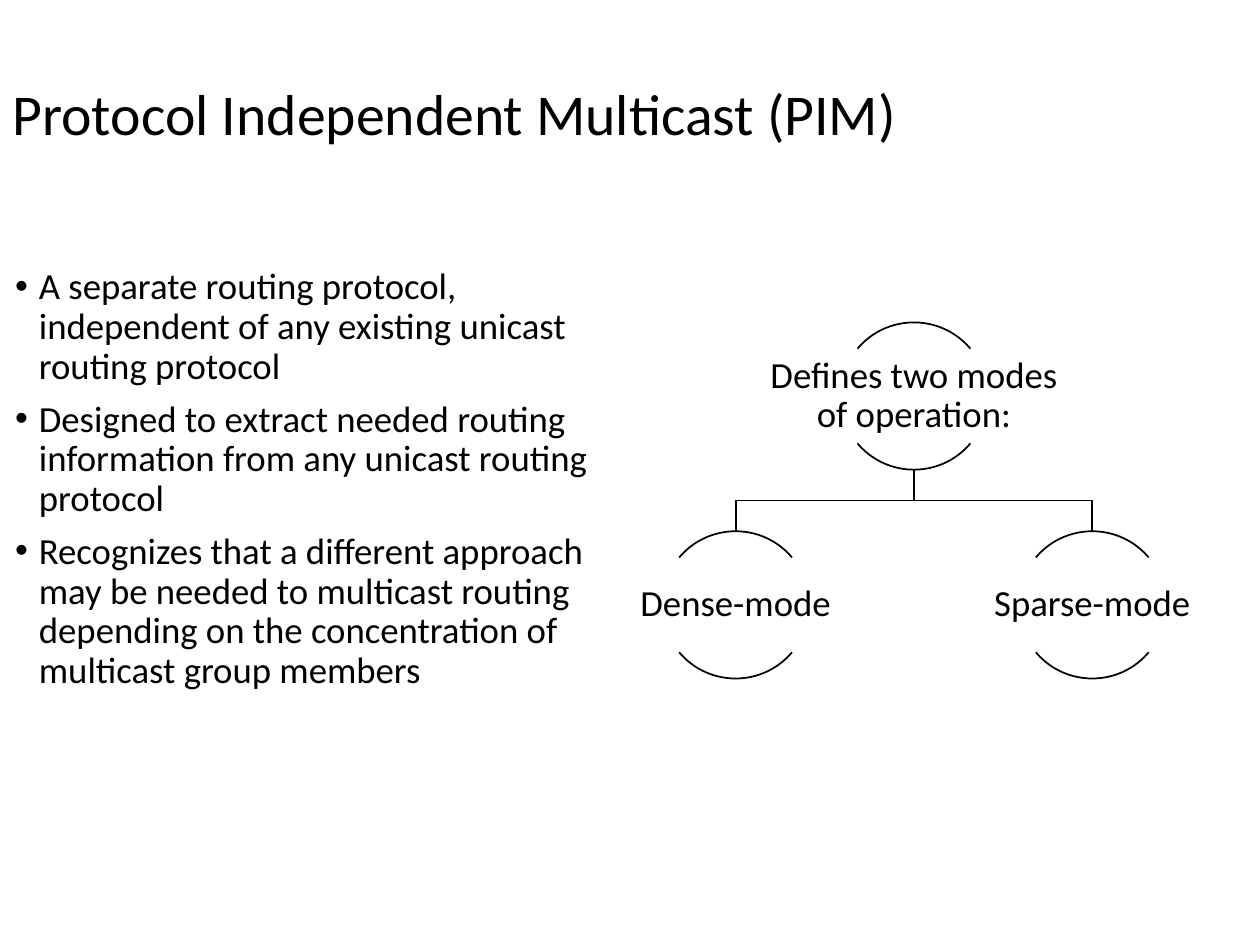
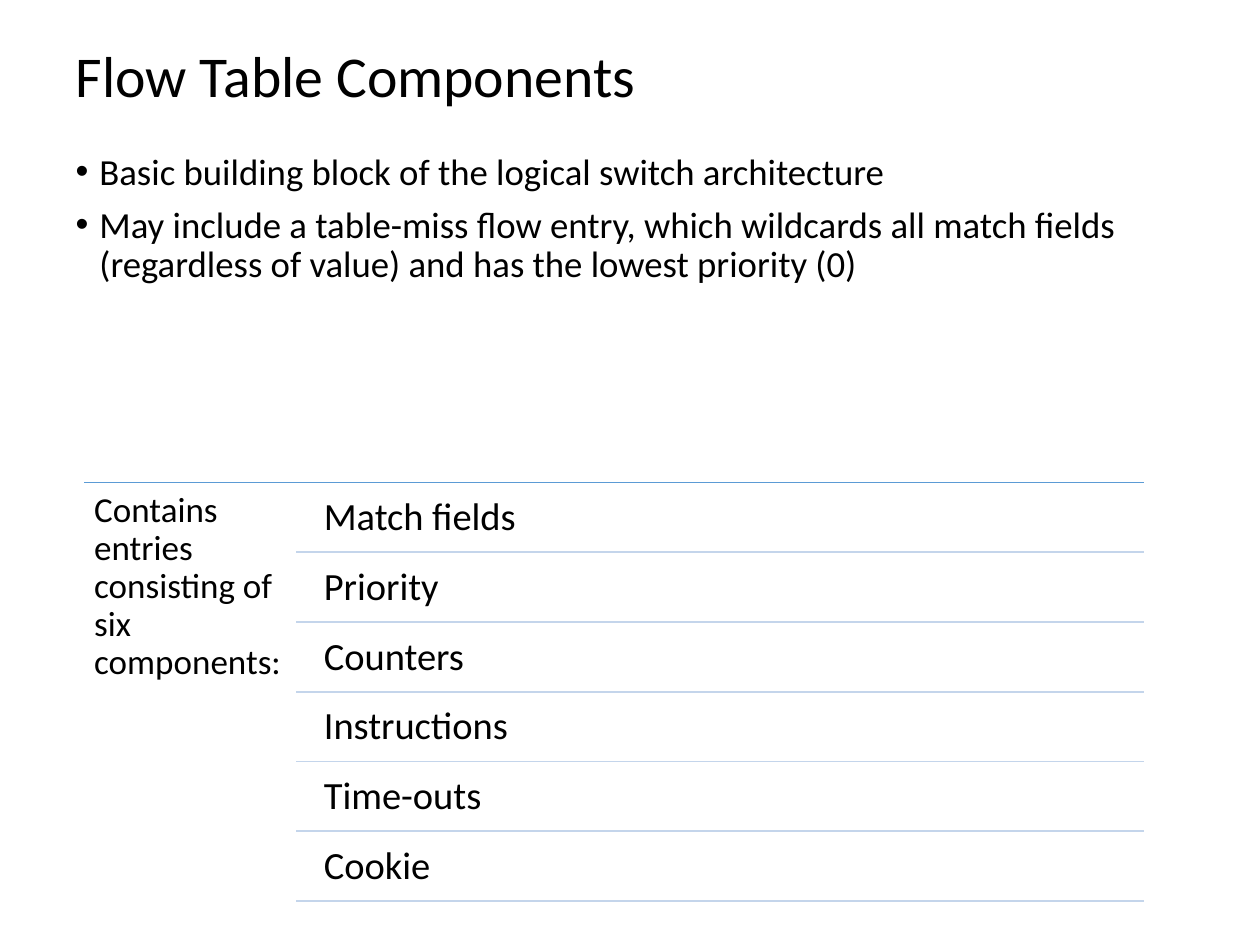
"""Build two networking slides: a mode hierarchy and a component list."""
from dataclasses import dataclass

from lxml import etree
from pptx import Presentation
from pptx.dml.color import RGBColor
from pptx.enum.shapes import MSO_CONNECTOR, MSO_SHAPE
from pptx.enum.text import MSO_ANCHOR, MSO_AUTO_SIZE, PP_ALIGN
from pptx.oxml.ns import qn
from pptx.util import Cm, Pt

LEFT, CENTER = PP_ALIGN.LEFT, PP_ALIGN.CENTER
TOP, MIDDLE = MSO_ANCHOR.TOP, MSO_ANCHOR.MIDDLE
NO_FIT = MSO_AUTO_SIZE.NONE
STRAIGHT = MSO_CONNECTOR.STRAIGHT
ARC = MSO_SHAPE.ARC
TITLE_AND_CONTENT = 1


@dataclass(frozen=True)
class Theme:
    """Colours, type sizes and spacing shared by the slides."""

    font: str = "Calibri"
    ink: str = "000000"
    paper: str = "FFFFFF"
    accent: str = "5B9BD5"
    pale: str = "C4D5EB"
    title_size: float = 33
    body_size: float = 21
    heading_size: float = 20
    row_size: float = 22
    line_spacing: float = 0.9
    bullet_gap: float = 7.5
    bullet_indent: float = 0.48
    line_width: float = 1
    thin_line: float = 0.5


@dataclass(frozen=True)
class Box:
    """A rectangle in centimetres."""

    left: float
    top: float
    width: float
    height: float

    def lengths(self):
        """Return the four lengths as slide units."""
        return Cm(self.left), Cm(self.top), Cm(self.width), Cm(self.height)


THEME = Theme()


def add_bullet(para):
    """Give a paragraph a hanging round bullet."""
    properties = para._p.get_or_add_pPr()
    indent = Cm(THEME.bullet_indent)
    properties.set("marL", str(indent))
    properties.set("indent", str(-indent))
    etree.SubElement(properties, qn("a:buFont")).set("typeface", "Arial")
    etree.SubElement(properties, qn("a:buChar")).set("char", "•")


def write_text(frame, *texts, size=THEME.body_size, align=LEFT, anchor=TOP,
               bullets=False, gap=0, inset=None):
    """Write one formatted paragraph for each text."""
    frame.word_wrap = True
    frame.auto_size = NO_FIT
    frame.vertical_anchor = anchor
    if inset is not None:
        frame.margin_left = frame.margin_right = Cm(inset)
        frame.margin_top = frame.margin_bottom = Cm(inset)
    for index, text in enumerate(texts):
        para = frame.add_paragraph() if index else frame.paragraphs[0]
        if bullets:
            add_bullet(para)
        para.alignment = align
        para.line_spacing = THEME.line_spacing
        para.space_before = Pt(gap if index else 0)
        span = para.add_run()
        span.text = text
        span.font.name = THEME.font
        span.font.size = Pt(size)
        span.font.color.rgb = RGBColor.from_string(THEME.ink)


def add_label(page, box, text, **text_format):
    """Add a text box with one paragraph."""
    label = page.shapes.add_textbox(*box.lengths())
    write_text(label.text_frame, text, **text_format)


def style_outline(shape):
    """Leave a shape with only a plain outline."""
    shape.shadow.inherit = False
    shape.fill.background()
    shape.line.color.rgb = RGBColor.from_string(THEME.ink)
    shape.line.width = Pt(THEME.line_width)


def add_rule(page, left, right, y, color=THEME.pale, width=THEME.line_width):
    """Draw a horizontal rule."""
    rule = page.shapes.add_connector(STRAIGHT, Cm(left), Cm(y), Cm(right), Cm(y))
    rule.line.color.rgb = RGBColor.from_string(color)
    rule.line.width = Pt(width)
    etree.SubElement(rule._element.spPr, qn("a:effectLst"))


def add_page(deck, title, title_box, bullets, body_box):
    """Add a slide with a title and a bullet list."""
    page = deck.slides.add_slide(deck.slide_layouts[TITLE_AND_CONTENT])
    page.background.fill.solid()
    page.background.fill.fore_color.rgb = RGBColor.from_string(THEME.paper)
    heading, body = page.placeholders
    for holder, box in ((heading, title_box), (body, body_box)):
        holder.left, holder.top, holder.width, holder.height = box.lengths()
    write_text(heading.text_frame, title, size=THEME.title_size, anchor=MIDDLE)
    write_text(body.text_frame, *bullets, bullets=True, gap=THEME.bullet_gap)
    return page


def add_branch(page, start, end):
    """Draw a stepped line from a parent down to a child."""
    middle = (start[1] + end[1]) / 2
    corners = [(start[0], middle), (end[0], middle), end]
    builder = page.shapes.build_freeform(Cm(start[0]), Cm(start[1]))
    builder.add_line_segments([(Cm(x), Cm(y)) for x, y in corners], close=False)
    style_outline(builder.convert_to_shape())


def add_node(page, center, top, diameter, label_width, label_height, text):
    """Draw a label between an upper and a lower arc."""
    circle = Box(center - diameter / 2, top, diameter, diameter)
    for angles in ((132, 192), (24, 84)):
        arc = page.shapes.add_shape(ARC, *circle.lengths())
        arc.adjustments[0], arc.adjustments[1] = angles
        style_outline(arc)
    label = Box(center - label_width / 2, top + (diameter - label_height) / 2,
                label_width, label_height)
    add_label(page, label, text, align=CENTER, anchor=MIDDLE, inset=0.03)


def add_hierarchy(page, box, parent, children):
    """Draw a parent node over evenly spaced child nodes."""
    diameter, label_width, label_height = 2.97, 5.94, 1.9
    root = box.left + box.width / 2
    child_top = box.top + box.height - diameter
    step = (box.width - label_width) / (len(children) - 1)
    centers = [box.left + label_width / 2 + i * step for i in range(len(children))]
    for center in centers:
        add_branch(page, (root, box.top + diameter), (center, child_top))
    nodes = [(root, box.top, parent)]
    nodes += [(center, child_top, text) for center, text in zip(centers, children)]
    for center, top, text in nodes:
        add_node(page, center, top, diameter, label_width, label_height, text)


def add_component_list(page, box, heading, components):
    """Draw a heading column beside ruled rows."""
    heading_width, row_indent, row_offset = 4.27, 4.6, 0.07
    right = box.left + box.width
    pitch = box.height / len(components)
    add_rule(page, box.left, right, box.top, THEME.accent, THEME.thin_line)
    add_label(page, Box(box.left, box.top, heading_width, box.height), heading,
              size=THEME.heading_size, inset=0.2)
    for index, component in enumerate(components):
        top = box.top + index * pitch
        row = Box(box.left + row_indent, top + row_offset,
                  box.width - row_indent, pitch - row_offset)
        add_label(page, row, component, size=THEME.row_size, inset=0.23)
        add_rule(page, box.left + heading_width, right, top + pitch)


def build_multicast_page(deck):
    """Build the multicast slide."""
    page = add_page(
        deck,
        "Protocol Independent Multicast (PIM)", Box(0, 0.76, 25.4, 3.18),
        ["A separate routing protocol, independent of any existing unicast "
         "routing protocol",
         "Designed to extract needed routing information from any unicast "
         "routing protocol",
         "Recognizes that a different approach may be needed to multicast "
         "routing depending on the concentration of multicast group members"],
        Box(0.05, 5.28, 12.7, 12.9))
    add_hierarchy(page, Box(11.86, 6.5, 13.13, 7.18),
                  "Defines two modes of operation:", ["Dense-mode", "Sparse-mode"])


def build_flow_table_page(deck):
    """Build the flow table slide."""
    page = add_page(
        deck,
        "Flow Table Components", Box(1.27, 0, 22.86, 3.18),
        ["Basic building block of the logical switch architecture",
         "May include a table-miss flow entry, which wildcards all match "
         "fields (regardless of value) and has the lowest priority (0)"],
        Box(1.27, 2.97, 22.86, 6.35))
    add_component_list(page, Box(1.7, 9.73, 21.37, 8.43),
                       "Contains entries consisting of six components:",
                       ["Match fields", "Priority", "Counters",
                        "Instructions", "Time-outs", "Cookie"])


def main():
    """Create and save the deck."""
    deck = Presentation()
    deck.slide_width, deck.slide_height = Cm(25.4), Cm(19.05)
    build_multicast_page(deck)
    build_flow_table_page(deck)
    deck.save("out.pptx")


if __name__ == "__main__":
    main()
